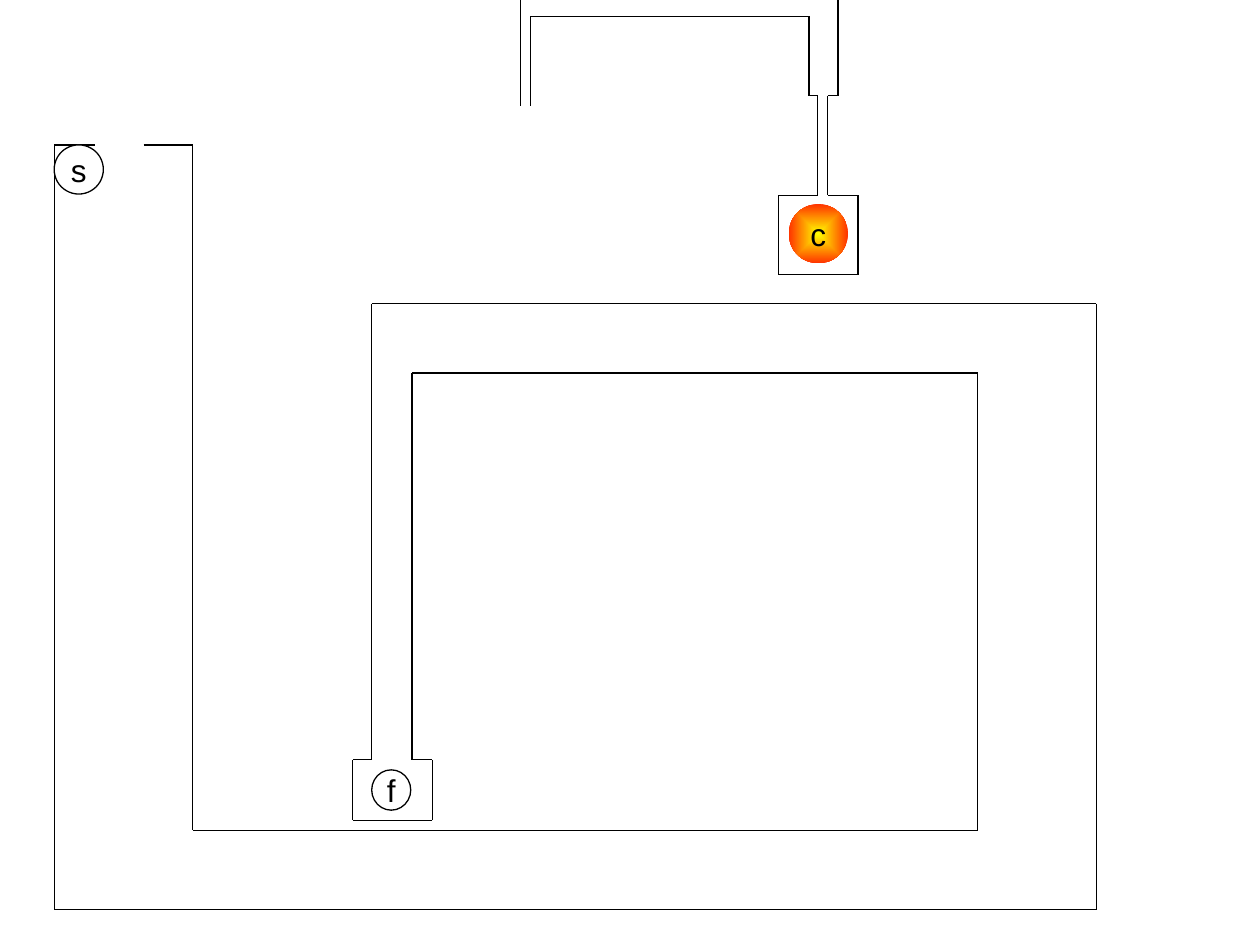
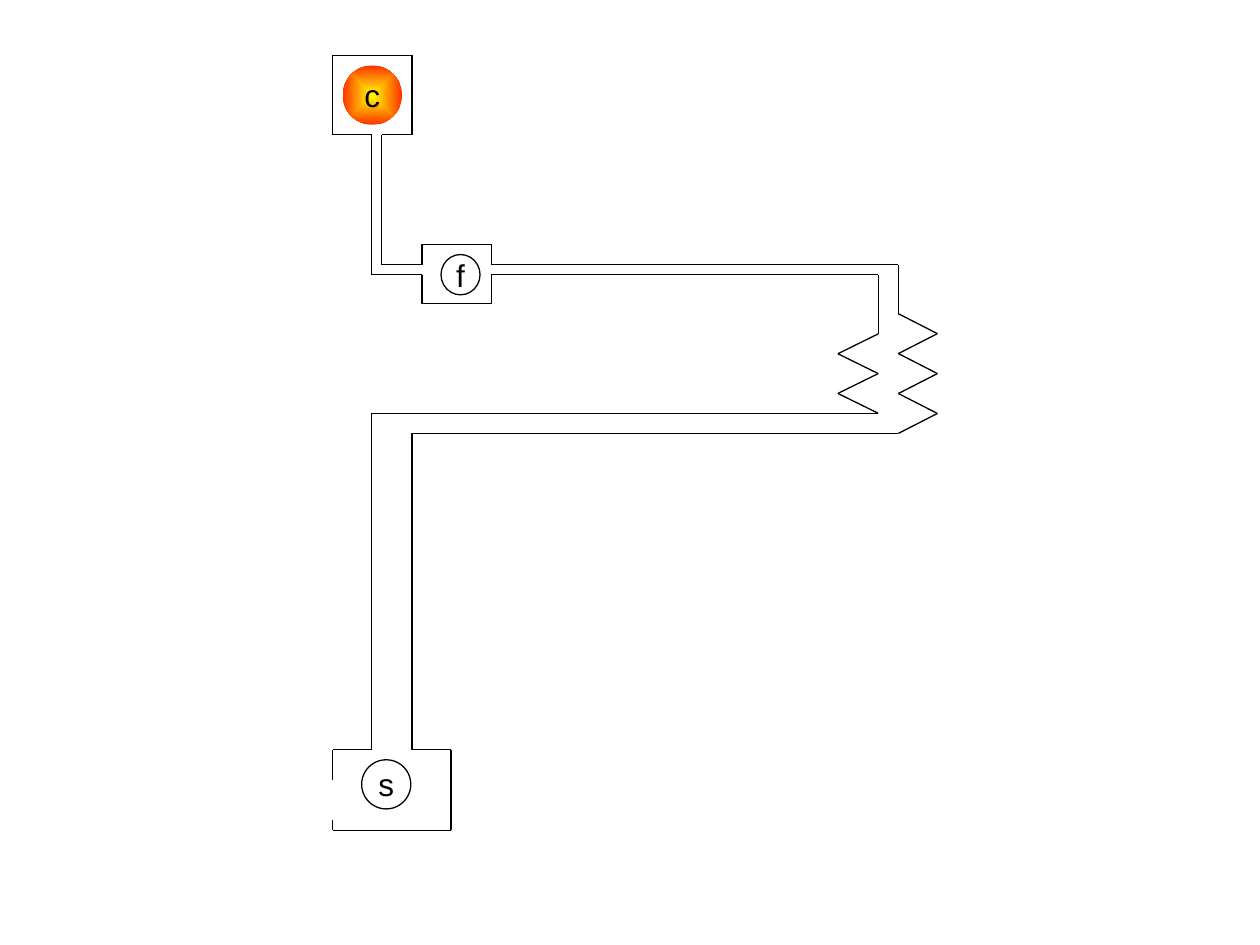
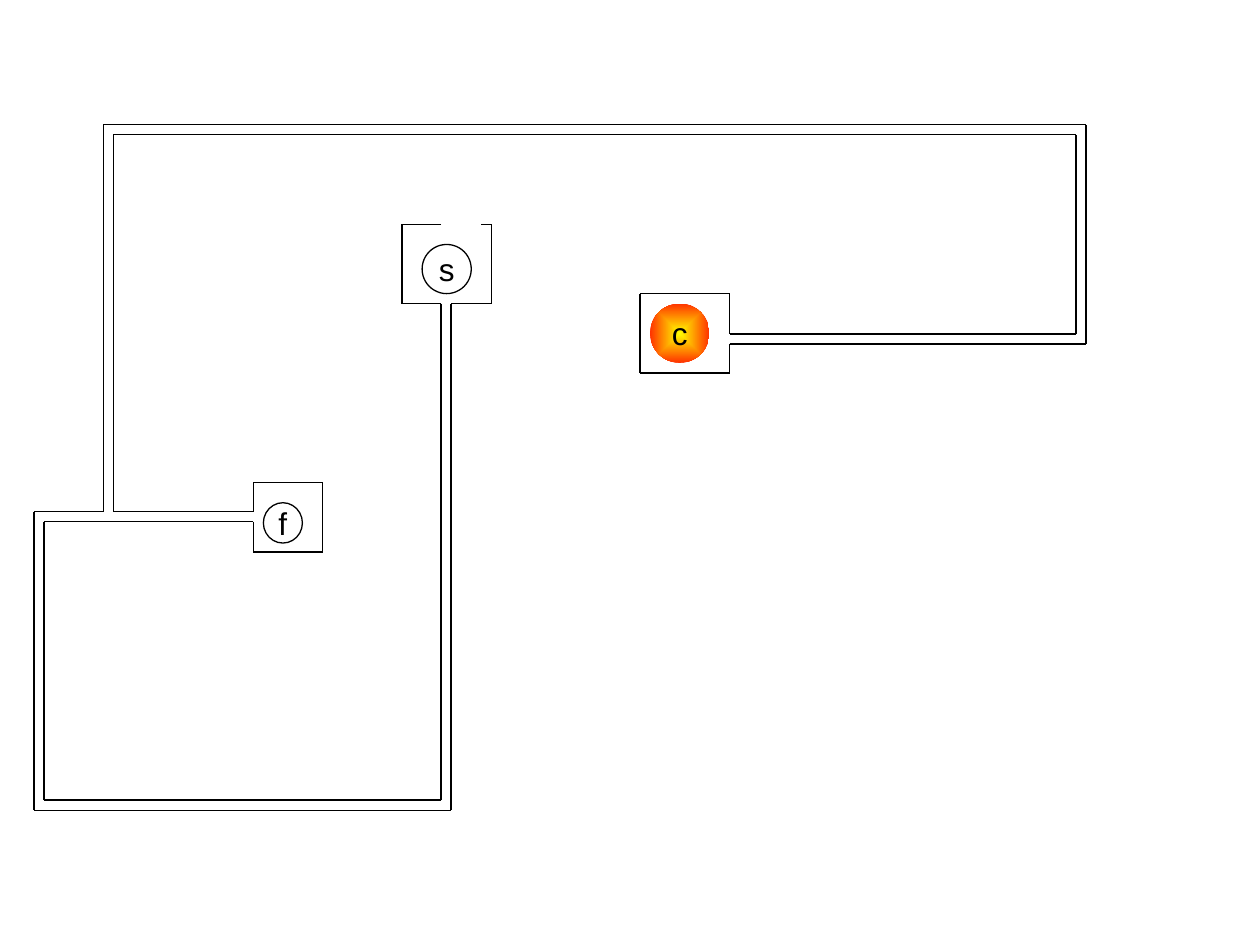
from itertools import pairwise

from lxml import etree
from pptx import Presentation
from pptx.dml.color import RGBColor
from pptx.enum.shapes import MSO_CONNECTOR, MSO_SHAPE
from pptx.enum.text import MSO_ANCHOR, PP_ALIGN
from pptx.oxml.ns import qn
from pptx.util import Inches, Pt

BLANK_LAYOUT = 6
START_SIZE = (0.39, 0.39)
FINISH_SIZE = (0.31, 0.32)
CORE_SIZE = (0.47, 0.47)


def color(value):
    return RGBColor.from_string(value)


def zigzag(edge, tip, first, last, steps):
    """Return points that alternate between x = edge and x = tip."""
    pitch = (last - first) / steps
    return [(tip if step % 2 else edge, first + step * pitch)
            for step in range(steps + 1)]


class MazeDeck:
    FONT = "Arial"
    FONT_SIZE = Pt(18)
    INK = "000000"
    PAPER = "FFFFFF"
    GLOW = ("FFFF00", "FF3300")
    LINE_WIDTH = Pt(0.75)

    def __init__(self):
        self.presentation = Presentation()
        self.presentation.slide_width = Inches(10)
        self.presentation.slide_height = Inches(7.5)
        self.slide = None

    def add_slide(self):
        layout = self.presentation.slide_layouts[BLANK_LAYOUT]
        self.slide = self.presentation.slides.add_slide(layout)

    def style_line(self, line):
        line.color.rgb = color(self.INK)
        line.width = self.LINE_WIDTH

    def wall(self, points):
        """Join consecutive points with straight lines."""
        for start, end in pairwise(points):
            connector = self.slide.shapes.add_connector(
                MSO_CONNECTOR.STRAIGHT, *map(Inches, start + end))
            self.style_line(connector.line)
            etree.SubElement(connector._element.spPr, qn("a:effectLst"))

    def circle(self, label, left, top, size):
        shape = self.slide.shapes.add_shape(
            MSO_SHAPE.OVAL, *map(Inches, (left, top) + size))
        shape.shadow.inherit = False
        shape.fill.solid()
        shape.fill.fore_color.rgb = color(self.PAPER)
        self.style_line(shape.line)
        frame = shape.text_frame
        frame.word_wrap = False
        frame.vertical_anchor = MSO_ANCHOR.MIDDLE
        paragraph = frame.paragraphs[0]
        paragraph.text = label
        paragraph.alignment = PP_ALIGN.CENTER
        paragraph.font.name = self.FONT
        paragraph.font.size = self.FONT_SIZE
        paragraph.font.color.rgb = color(self.INK)
        return shape

    def start(self, left, top):
        self.circle("s", left, top, START_SIZE)

    def finish(self, left, top):
        self.circle("f", left, top, FINISH_SIZE)

    def core(self, left, top):
        """Add the glowing circle, shaded from its centre outwards."""
        shape = self.circle("c", left, top, CORE_SIZE)
        shape.line.fill.background()
        shape.fill.gradient()
        for position, (stop, value) in enumerate(
                zip(shape.fill.gradient_stops, self.GLOW)):
            stop.color.rgb = color(value)
            stop.position = position
        gradient = shape._element.spPr.find(qn("a:gradFill"))
        gradient.remove(gradient.find(qn("a:lin")))
        shading = etree.SubElement(gradient, qn("a:path"), path="rect")
        etree.SubElement(shading, qn("a:fillToRect"),
                         dict.fromkeys("ltrb", "50000"))


def add_wide_corridor(deck):
    deck.add_slide()
    deck.wall([
        (1.14, 1.15), (1.53, 1.15), (1.53, 6.59), (7.76, 6.59),
        (7.76, 2.96), (3.27, 2.96), (3.27, 6.03), (3.43, 6.03),
        (3.43, 6.51), (2.8, 6.51), (2.8, 6.03), (2.95, 6.03),
        (2.95, 2.41), (8.7, 2.41), (8.7, 7.22), (0.43, 7.22),
        (0.43, 1.15), (0.75, 1.15),
    ])
    deck.wall([(4.13, 0), (4.13, 0.84)])
    deck.wall([
        (6.65, 0), (6.65, 0.76), (6.57, 0.76), (6.57, 1.55),
        (6.81, 1.55), (6.81, 2.18), (6.18, 2.18), (6.18, 1.55),
        (6.49, 1.55), (6.49, 0.76), (6.42, 0.76), (6.42, 0.13),
        (4.21, 0.13), (4.21, 0.84),
    ])
    deck.start(0.43, 1.15)
    deck.finish(2.95, 6.11)
    deck.core(6.26, 1.62)


def add_zigzag_corridor(deck):
    deck.add_slide()
    deck.wall([
        (2.64, 6.19), (2.64, 5.95), (2.95, 5.95), (2.95, 3.28),
        *zigzag(6.97, 6.65, 3.28, 2.65, 4),
        (6.97, 2.18), (3.9, 2.18), (3.9, 2.41), (3.35, 2.41),
        (3.35, 2.18), (2.95, 2.18), (2.95, 1.07), (2.64, 1.07),
        (2.64, 0.44), (3.27, 0.44), (3.27, 1.07), (3.03, 1.07),
        (3.03, 2.1), (3.35, 2.1), (3.35, 1.94), (3.9, 1.94),
        (3.9, 2.1), (7.13, 2.1),
        *zigzag(7.13, 7.44, 2.49, 3.44, 6),
        (3.27, 3.44), (3.27, 5.95), (3.58, 5.95), (3.58, 6.59),
        (2.64, 6.59), (2.64, 6.51),
    ])
    deck.finish(3.5, 2.02)
    deck.core(2.72, 0.52)
    deck.start(2.87, 6.03)


def add_branching_corridor(deck):
    deck.add_slide()
    deck.wall([
        (3.5, 1.78), (3.19, 1.78), (3.19, 2.41), (3.5, 2.41),
        (3.5, 6.35), (0.35, 6.35), (0.35, 4.14), (2.01, 4.14),
        (2.01, 4.38), (2.56, 4.38), (2.56, 3.83), (2.01, 3.83),
        (2.01, 4.06), (0.9, 4.06), (0.9, 1.07), (8.54, 1.07),
        (8.54, 2.65), (5.79, 2.65), (5.79, 2.33), (5.08, 2.33),
        (5.08, 2.96), (5.79, 2.96), (5.79, 2.73), (8.62, 2.73),
        (8.62, 0.99), (0.82, 0.99), (0.82, 4.06), (0.27, 4.06),
        (0.27, 6.43), (3.58, 6.43), (3.58, 2.41), (3.9, 2.41),
        (3.9, 1.78), (3.82, 1.78),
    ])
    deck.core(5.16, 2.41)
    deck.finish(2.09, 3.99)
    deck.start(3.35, 1.94)


def main():
    deck = MazeDeck()
    add_wide_corridor(deck)
    add_zigzag_corridor(deck)
    add_branching_corridor(deck)
    deck.presentation.save("out.pptx")


if __name__ == "__main__":
    main()
